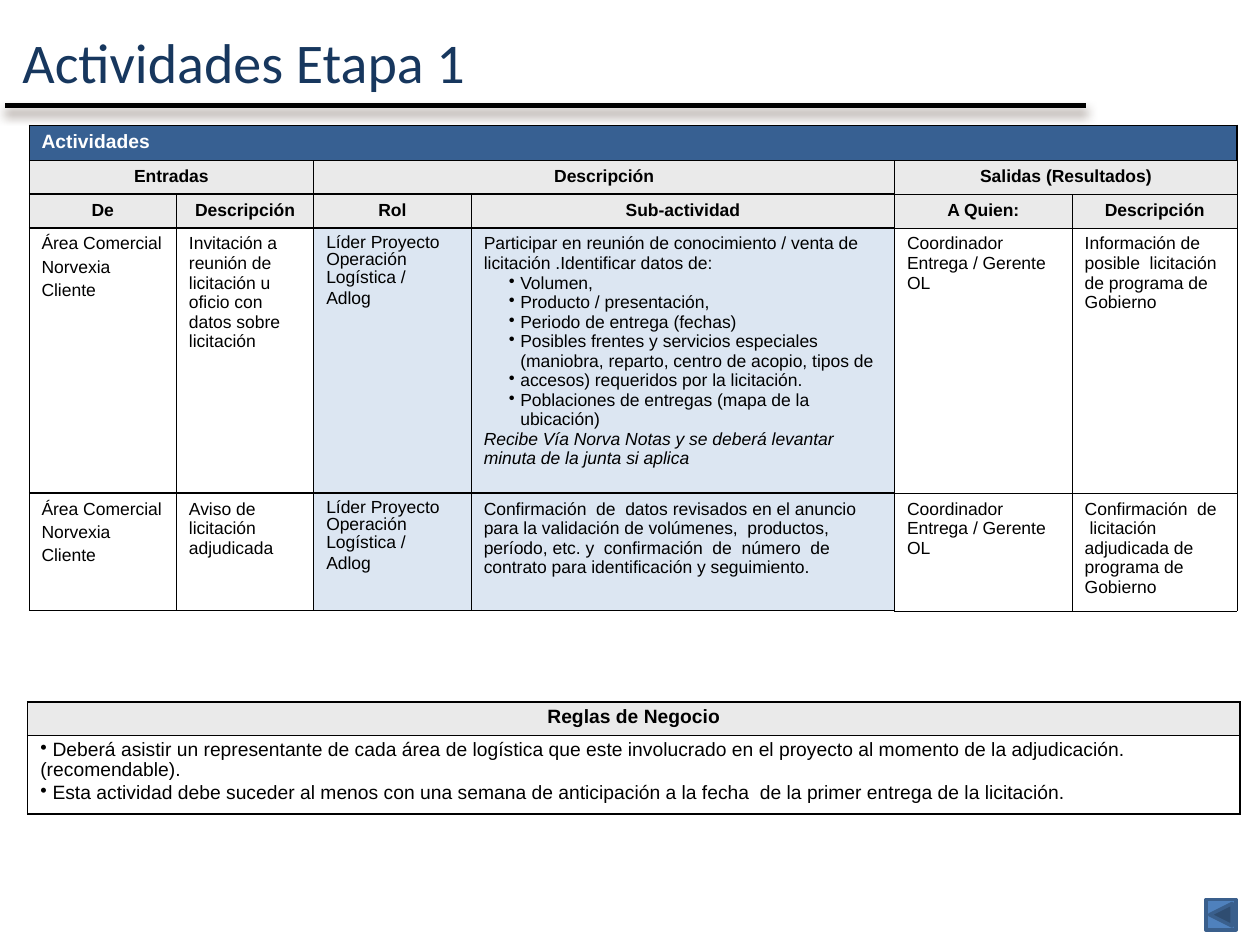
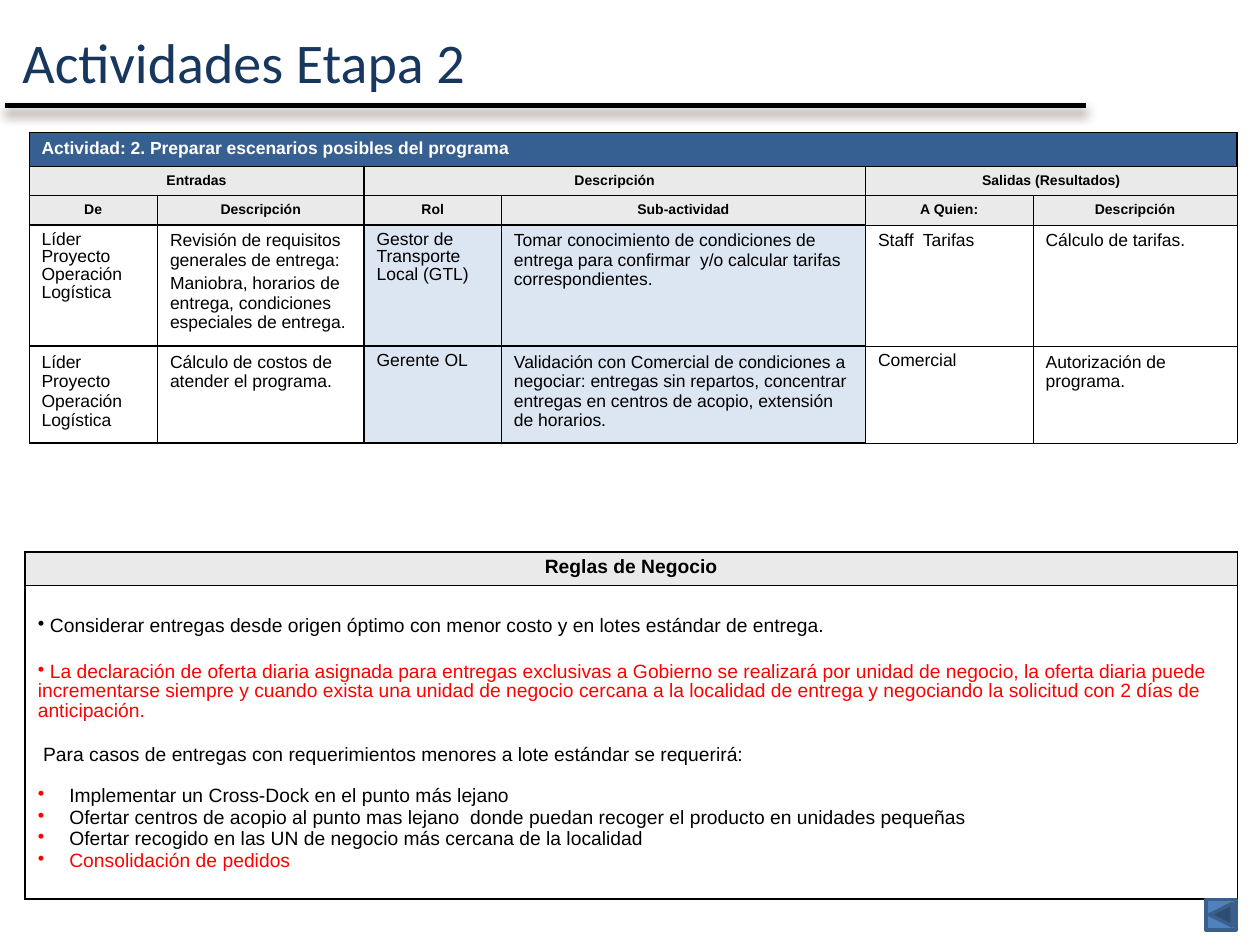
from dataclasses import dataclass

from lxml import etree
from pptx import Presentation, util as u
from pptx.dml.color import RGBColor
from pptx.enum import shapes, text
from pptx.oxml.ns import qn


@dataclass(frozen=True)
class Theme:
    title: str = "17375E"
    band: str = "376092"
    header: str = "EAEAEA"
    highlight: str = "DCE6F2"
    button: str = "4F81BD"
    button_line: str = "3A5F8C"
    shadow: str = "4E3B30"
    ink: str = "000000"
    white: str = "FFFFFF"
    alert: str = "FF0000"
    title_font: str = "Calibri"
    body_font: str = "Arial"
    title_size: int = 32
    rules_size: int = 11
    body_size: int = 10
    thin: float = 0.25
    thick: float = 1


THEME = Theme()


@dataclass(frozen=True)
class Para:
    text: str
    leading: float = 1
    before: float | None = None
    bullet: str | None = None
    margin: float = 0
    hang: float = 0
    color: str = THEME.ink
    italic: bool = False
    align: text.PP_ALIGN = text.PP_ALIGN.LEFT


def tight(content, **options):
    return Para(content, leading=0.9, **options)


def point(content):
    return Para(content, before=0, bullet=THEME.ink, margin=0.29, hang=0.09)


def rule(content, color=THEME.ink, **options):
    return tight(" " + content, bullet=color, color=color, **options)


def option(content, color=THEME.ink, bullet=THEME.alert, before=0):
    return Para(content, before=before, bullet=bullet, margin=0.25, hang=0.25,
                color=color, align=text.PP_ALIGN.JUSTIFY)


def child(parent, tag, **attributes):
    return etree.SubElement(parent, qn(tag), attributes)


class ProcessDeck:
    def __init__(self, theme):
        self.theme = theme
        self.deck = Presentation()
        self.deck.slide_width = u.Inches(10)
        self.deck.slide_height = u.Inches(7.5)
        self.page = None

    def add_page(self, title):
        self.page = self.deck.slides.add_slide(self.deck.slide_layouts[6])
        self.title(title)
        self.title_line()

    def style(self, span, size, color, font, bold=False, italic=False):
        span.font.size = u.Pt(size)
        span.font.name = font
        span.font.bold = bold
        span.font.italic = italic
        span.font.color.rgb = RGBColor.from_string(color)

    def title(self, content):
        box = self.page.shapes.add_textbox(
            u.Inches(0.08), u.Inches(0.11), u.Inches(7.92), u.Inches(0.75))
        frame = box.text_frame
        frame.word_wrap = True
        frame.vertical_anchor = text.MSO_ANCHOR.MIDDLE
        frame.text = content
        self.style(frame.paragraphs[0].runs[0], self.theme.title_size,
                   self.theme.title, self.theme.title_font)

    def title_line(self):
        line = self.page.shapes.add_connector(
            shapes.MSO_CONNECTOR.STRAIGHT, u.Inches(0.04), u.Inches(0.84),
            u.Inches(8.62), u.Inches(0.84))
        line.line.color.rgb = RGBColor.from_string(self.theme.ink)
        line.line.width = u.Pt(3)
        effects = child(line._element.spPr, "a:effectLst")
        shadow = child(effects, "a:outerShdw", blurRad=str(u.Pt(6)),
                       dist=str(u.Pt(4)), dir="5400000", rotWithShape="0")
        color = child(shadow, "a:srgbClr", val=self.theme.shadow)
        child(color, "a:alpha", val="60000")

    def back_button(self):
        button = self.page.shapes.add_shape(
            shapes.MSO_SHAPE.ACTION_BUTTON_BACK_OR_PREVIOUS,
            u.Inches(9.57), u.Inches(7.14), u.Inches(0.24), u.Inches(0.24))
        button.shadow.inherit = False
        button.fill.solid()
        button.fill.fore_color.rgb = RGBColor.from_string(self.theme.button)
        button.line.color.rgb = RGBColor.from_string(self.theme.button_line)
        button.line.width = u.Pt(2)

    def table(self, left, top, widths, heights):
        frame = self.page.shapes.add_table(
            len(heights), len(widths), u.Inches(left), u.Inches(top),
            u.Inches(sum(widths)), u.Inches(sum(heights)))
        table = frame.table
        table.first_row = table.horz_banding = False
        for column, width in zip(table.columns, widths):
            column.width = u.Inches(width)
        for row, height in zip(table.rows, heights):
            row.height = u.Inches(height)
        return table

    def borders(self, cell, left, right, top, bottom):
        properties = cell._tc.get_or_add_tcPr()
        for side, width in zip("LRTB", (left, right, top, bottom)):
            line = child(properties, f"a:ln{side}", w=str(u.Pt(width)))
            fill = child(line, "a:solidFill")
            child(fill, "a:srgbClr", val=self.theme.ink)

    def fill(self, cell, color):
        if color:
            cell.fill.solid()
            cell.fill.fore_color.rgb = RGBColor.from_string(color)
        else:
            cell.fill.background()

    def cell_text(self, cell, paras, size, bold=False):
        frame = cell.text_frame
        frame.text = "\n".join(para.text for para in paras)
        for paragraph, para in zip(frame.paragraphs, paras):
            paragraph.alignment = para.align
            paragraph.line_spacing = para.leading
            paragraph.space_before = u.Pt(
                size * 0.2 if para.before is None else para.before)
            properties = paragraph._p.get_or_add_pPr()
            properties.set("marL", str(u.Inches(para.margin)))
            properties.set("indent", str(-u.Inches(para.hang)))
            if para.bullet:
                color = child(properties, "a:buClr")
                child(color, "a:srgbClr", val=para.bullet)
                child(properties, "a:buChar", char="•")
            self.style(paragraph.runs[0], size, para.color,
                       self.theme.body_font, bold, para.italic)

    def header(self, cell, content, size, leading=1):
        self.cell_text(cell, [Para(content, leading, align=text.PP_ALIGN.CENTER)],
                       size, True)

    def activities(self, top, widths, heights, title, title_size, header_size, rows):
        theme = self.theme
        table = self.table(0.23, top, widths, heights)
        edges = [theme.thin, theme.thick, theme.thick] + [theme.thin] * 4
        for row in range(len(heights)):
            for column in range(len(widths)):
                cell = table.cell(row, column)
                strong = theme.thick if column < 4 else theme.thin
                self.borders(cell, edges[column], edges[column + 1],
                             strong if row > 1 else theme.thin,
                             strong if row > 0 else theme.thin)
                if row == 0:
                    color = theme.band
                elif row < 3:
                    color = theme.header
                else:
                    color = theme.highlight if column in (2, 3) else None
                self.fill(cell, color)
        table.cell(0, 0).merge(table.cell(0, 5))
        self.cell_text(table.cell(0, 0), [Para(title, color=theme.white)],
                       title_size, True)
        for column, label in zip((0, 2, 4), GROUPS):
            table.cell(1, column).merge(table.cell(1, column + 1))
            self.header(table.cell(1, column), label, header_size)
        for column, label in enumerate(COLUMNS):
            self.header(table.cell(2, column), label, header_size)
        for row, contents in enumerate(rows, 3):
            for column, paras in enumerate(contents):
                self.cell_text(table.cell(row, column), paras, theme.body_size)

    def rules(self, left, top, heights, paras, margin_top=0.05):
        table = self.table(left, top, [9.62], heights)
        for row, color in enumerate((self.theme.header, None)):
            cell = table.cell(row, 0)
            self.borders(cell, *[self.theme.thick] * 4)
            self.fill(cell, color)
        self.header(table.cell(0, 0), "Reglas de Negocio", self.theme.rules_size, 0.9)
        body = table.cell(1, 0)
        body.margin_top = u.Inches(margin_top)
        self.cell_text(body, paras, self.theme.rules_size)


GROUPS = ["Entradas", "Descripción", "Salidas (Resultados)"]
COLUMNS = ["De", "Descripción", "Rol", "Sub-actividad", "A Quien:", "Descripción"]
SOURCES = [Para("Área Comercial"), Para("Norvexia"), Para("Cliente")]
LEADER = [tight("Líder Proyecto Operación Logística /"), tight("Adlog")]
LOGISTICS = "Líder Proyecto Operación Logística"

BIDDING = [
    [
        SOURCES,
        [Para("Invitación a reunión de licitación u oficio con datos sobre licitación")],
        LEADER,
        [
            Para("Participar en reunión de conocimiento / venta de licitación "
                 ".Identificar datos de:", before=0),
            point("Volumen,"),
            point("Producto / presentación,"),
            point("Periodo de entrega (fechas)"),
            point("Posibles frentes y servicios especiales (maniobra, reparto, "
                  "centro de acopio, tipos de"),
            point("accesos) requeridos por la licitación."),
            point("Poblaciones de entregas (mapa de la ubicación)"),
            Para("Recibe Vía Norva Notas y se deberá levantar minuta de la junta "
                 "si aplica", before=0, italic=True),
        ],
        [Para("Coordinador  Entrega / Gerente OL")],
        [Para("Información de  posible  licitación de programa de Gobierno")],
    ],
    [
        SOURCES,
        [Para("Aviso de licitación adjudicada")],
        LEADER,
        [Para("Confirmación  de  datos revisados en el anuncio  para la validación "
              "de volúmenes,  productos, período, etc. y  confirmación  de  número  "
              "de contrato para identificación y seguimiento.")],
        [Para("Coordinador Entrega / Gerente OL")],
        [Para("Confirmación  de   licitación adjudicada de programa de Gobierno")],
    ],
]

SCENARIOS = [
    [
        [tight(LOGISTICS)],
        [Para("Revisión de requisitos generales de entrega:"),
         Para("Maniobra, horarios de entrega, condiciones especiales de entrega.")],
        [tight("Gestor de Transporte Local (GTL)")],
        [Para("Tomar conocimiento de condiciones de entrega para confirmar  y/o "
              "calcular tarifas correspondientes.")],
        [Para("Staff  Tarifas")],
        [Para("Cálculo de tarifas.")],
    ],
    [
        [Para(LOGISTICS)],
        [Para("Cálculo de costos de atender el programa.")],
        [tight("Gerente OL")],
        [Para("Validación con Comercial de condiciones a negociar: entregas sin "
              "repartos, concentrar entregas en centros de acopio, extensión de "
              "horarios.")],
        [tight("Comercial")],
        [Para("Autorización de programa.")],
    ],
]

BIDDING_RULES = [
    rule("Deberá asistir un representante de cada área de logística que este "
         "involucrado en el proyecto al momento de la adjudicación. (recomendable)."),
    rule("Esta actividad debe suceder al menos con una semana de anticipación a la "
         "fecha  de la primer entrega de la licitación."),
]

SCENARIO_RULES = [
    rule("Considerar entregas desde origen óptimo con menor costo y en lotes "
         "estándar de entrega."),
    rule("La declaración de oferta diaria asignada para entregas exclusivas a "
         "Gobierno se realizará por unidad de negocio, la oferta diaria puede "
         "incrementarse siempre y cuando exista una unidad de negocio cercana a la "
         "localidad de entrega y negociando la solicitud con 2 días de anticipación.",
         THEME.alert, before=15.5),
    option(" Para casos de entregas con requerimientos menores a lote estándar se "
           "requerirá:", bullet=None, before=13),
    option("Implementar un Cross-Dock en el punto más lejano", before=11.5),
    option("Ofertar centros de acopio al punto mas lejano  donde puedan recoger el "
           "producto en unidades pequeñas"),
    option("Ofertar recogido en las UN de negocio más cercana de la localidad"),
    option("Consolidación de pedidos", THEME.alert),
]


def main():
    process = ProcessDeck(THEME)

    process.add_page("Actividades Etapa 1")
    process.activities(0.99, [1.17, 1.09, 1.25, 3.36, 1.41, 1.31],
                       [0.27, 0.25, 0.25, 1.97, 0.87], "Actividades", 11, 10, BIDDING)
    process.rules(0.22, 5.57, [0.26, 0.59], BIDDING_RULES)
    process.back_button()

    process.add_page("Actividades Etapa 2")
    process.activities(1.05, [1.02, 1.64, 1.09, 2.89, 1.33, 1.62],
                       [0.25, 0.23, 0.23, 0.9, 0.72],
                       "Actividad: 2. Preparar escenarios posibles del programa",
                       10, 8, SCENARIOS)
    process.rules(0.2, 4.38, [0.25, 2.49], SCENARIO_RULES, margin_top=0.25)
    process.back_button()

    process.deck.save("out.pptx")


if __name__ == "__main__":
    main()
